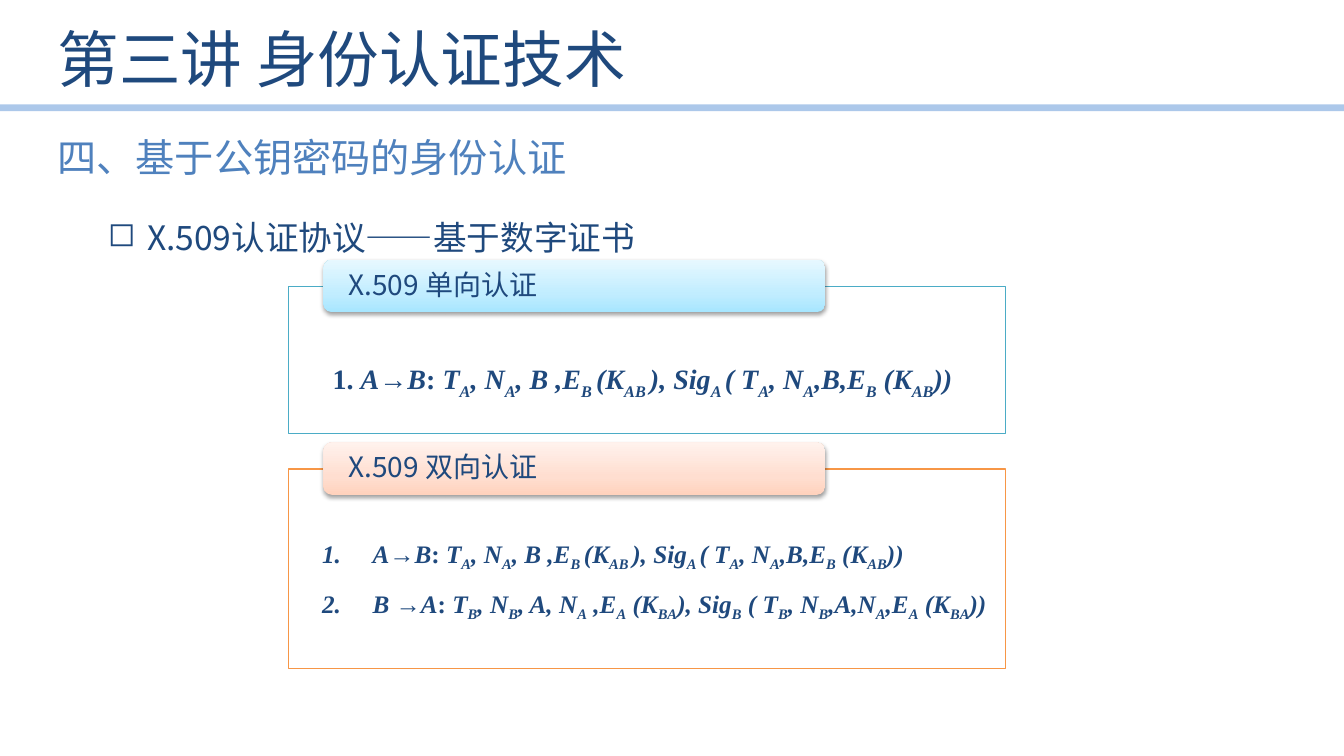
from lxml.etree import SubElement
from pptx import Presentation
from pptx.dml.color import RGBColor
from pptx.enum.shapes import MSO_CONNECTOR, MSO_SHAPE
from pptx.enum.text import MSO_ANCHOR, MSO_AUTO_SIZE, PP_ALIGN
from pptx.oxml.ns import qn
from pptx.util import Pt

SANS = "Noto Sans CJK SC"
SERIF = "Times New Roman"
NAVY = "1F497D"
ONE_WAY = "A^→^B^: ^T|A|, N|A|, B ,E|B |(K|AB |), Sig|A |( T|A|, N|A|,B,E|B| (K|AB|))"
REPLY = "B ^→^A^: ^T|B|, N|B|, A, N|A| ,E|A| (K|BA|), Sig|B| ( T|B|, N|B|,A,N|A|,E|A| (K|BA|))"


def color(value):
    return RGBColor.from_string(value)


def add_element(parent, tag, **attributes):
    return SubElement(parent, qn(tag), {key: str(value) for key, value in attributes.items()})


def set_font(paragraph, name, size, shade=NAVY, bold=False):
    font = paragraph.font
    font.name = name
    font.size = Pt(size)
    font.bold = bold
    font.color.rgb = color(shade)
    defaults = paragraph._p.pPr.find(qn("a:defRPr"))
    add_element(defaults, "a:ea", typeface=name)


def set_bullet(paragraph, tag, margin, indent, **attributes):
    properties = paragraph._p.get_or_add_pPr()
    properties.set("marL", str(Pt(margin)))
    properties.set("indent", str(Pt(indent)))
    add_element(properties, tag, **attributes)


def add_text_box(slide, left, top, width, height, wrap=True, anchor=MSO_ANCHOR.TOP):
    box = slide.shapes.add_textbox(Pt(left), Pt(top), Pt(width), Pt(height))
    frame = box.text_frame
    frame.auto_size = MSO_AUTO_SIZE.NONE
    frame.word_wrap = wrap
    frame.vertical_anchor = anchor
    return frame


def add_heading(slide, text, left, top, width, height, size, shade, **options):
    paragraph = add_text_box(slide, left, top, width, height, **options).paragraphs[0]
    paragraph.text = text
    set_font(paragraph, SANS, size, shade)


def add_topic(slide, text):
    paragraph = add_text_box(slide, 34, 145.5, 884, 40).paragraphs[0]
    paragraph.text = text
    set_bullet(paragraph, "a:buChar", 64, -28, char="◻")
    paragraph.alignment = PP_ALIGN.JUSTIFY
    paragraph.line_spacing = 1.2
    set_font(paragraph, SANS, 24)


def add_rule(slide, width):
    rule = slide.shapes.add_connector(MSO_CONNECTOR.STRAIGHT, 0, Pt(77), width, Pt(77))
    rule.line.width = Pt(4.75)
    rule.line.color.rgb = color("8EB4E3")
    properties = rule._element.spPr
    shade = next(properties.iter(qn("a:srgbClr")))
    add_element(shade, "a:alpha", val=73000)
    add_element(properties, "a:effectLst")


def add_frame(slide, top, height, outline):
    frame = slide.shapes.add_shape(MSO_SHAPE.RECTANGLE, Pt(206), Pt(top), Pt(512.5), Pt(height))
    frame.shadow.inherit = False
    frame.fill.solid()
    frame.fill.fore_color.rgb = color("FFFFFF")
    frame.line.color.rgb = color(outline)
    frame.line.width = Pt(0.75)


def add_label(slide, text, top, shades):
    label = slide.shapes.add_shape(
        MSO_SHAPE.ROUNDED_RECTANGLE, Pt(231), Pt(top), Pt(358.5), Pt(37.5))
    properties = label._element.spPr
    gradient = add_element(properties, "a:gradFill", rotWithShape=1)
    stops = add_element(gradient, "a:gsLst")
    for position, shade in zip((0, 35000, 100000), shades):
        stop = add_element(stops, "a:gs", pos=position)
        add_element(stop, "a:srgbClr", val=shade)
    add_element(gradient, "a:lin", ang=16200000, scaled=0)
    label.line.fill.background()
    effects = add_element(properties, "a:effectLst")
    shadow = add_element(effects, "a:outerShdw", blurRad=Pt(3.1), dist=Pt(1.6),
                         dir=5400000, rotWithShape=0)
    shadow_color = add_element(shadow, "a:srgbClr", val="000000")
    add_element(shadow_color, "a:alpha", val=38000)

    frame = label.text_frame
    frame.word_wrap = True
    frame.vertical_anchor = MSO_ANCHOR.MIDDLE
    frame.margin_left = frame.margin_right = Pt(16)
    frame.margin_top = frame.margin_bottom = 0
    paragraph = frame.paragraphs[0]
    paragraph.text = text
    paragraph.alignment = PP_ALIGN.LEFT
    paragraph.line_spacing = 0.9
    set_font(paragraph, SANS, 20)


def write_formula(paragraph, formula, size):
    for level, segment in enumerate(formula.split("|")):
        for style, text in enumerate(segment.split("^")):
            if text:
                run = paragraph.add_run()
                run.text = text
                run.font.italic = style % 2 == 0
                if level % 2:
                    run._r.get_or_add_rPr().set("baseline", "-25000")
    set_font(paragraph, SERIF, size, bold=True)


def add_numbered_formulas(slide, formulas):
    frame = add_text_box(slide, 223, 381, 502, 62)
    for index, formula in enumerate(formulas):
        paragraph = frame.add_paragraph() if index else frame.paragraphs[0]
        set_bullet(paragraph, "a:buAutoNum", 36, -36, type="arabicPeriod")
        if index:
            paragraph.space_before = Pt(11)
        write_formula(paragraph, formula, 18)


def main():
    presentation = Presentation()
    presentation.slide_width = Pt(960)
    presentation.slide_height = Pt(540)
    slide = presentation.slides.add_slide(presentation.slide_layouts[6])

    add_rule(slide, presentation.slide_width)
    add_heading(slide, "第三讲 身份认证技术", 34, 6.5, 793, 70, 44, NAVY,
                anchor=MSO_ANCHOR.MIDDLE)
    add_topic(slide, "X.509认证协议——基于数字证书")
    add_heading(slide, "四、基于公钥密码的身份认证", 34, 92, 382, 41, 28, "4F81BD", wrap=False)

    add_frame(slide, 204.5, 105, "4BACC6")
    add_label(slide, "X.509 单向认证", 185.5, ("A7E6FF", "C1EDFF", "E7F8FF"))
    add_frame(slide, 335, 142.5, "F79646")
    add_label(slide, "X.509 双向认证", 316, ("FFD2BD", "FFDED0", "FFF2ED"))

    single = add_text_box(slide, 230.5, 255, 471, 32)
    write_formula(single.paragraphs[0], "^1. ^" + ONE_WAY, 20)
    add_numbered_formulas(slide, (ONE_WAY, REPLY))

    presentation.save("out.pptx")


if __name__ == "__main__":
    main()
